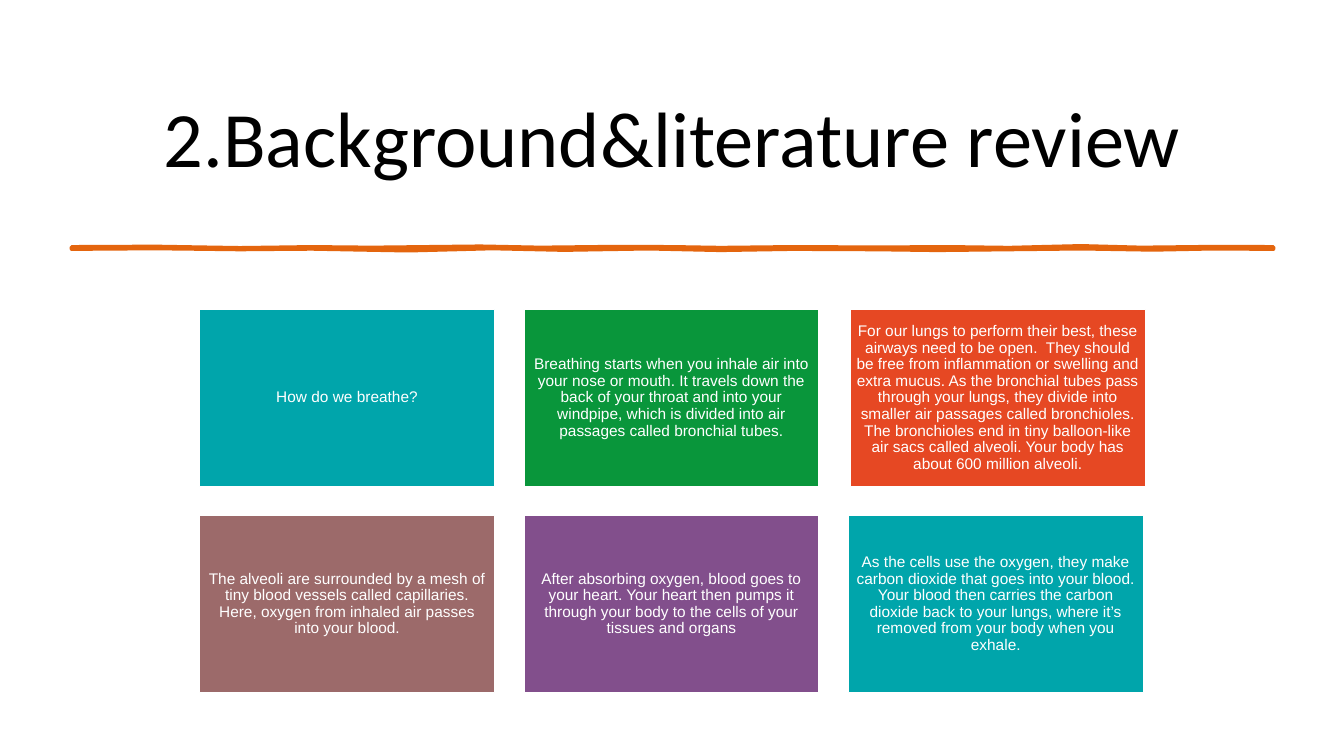
import math

from pptx import Presentation
from pptx import util as u
from pptx.dml import color
from pptx.enum import shapes, text

WIDTH, HEIGHT = 13.33, 7.5
TILES = [
    ("00A5AB", 0, "How do we breathe?"),
    ("09963B", 0, "Breathing starts when you inhale air into your nose or mouth. It travels down "
     "the back of your throat and into your windpipe, which is divided into air passages called "
     "bronchial tubes."),
    ("E64823", 0.02, "For our lungs to perform their best, these airways need to be open.  They "
     "should be free from inflammation or swelling and extra mucus. As the bronchial tubes pass "
     "through your lungs, they divide into smaller air passages called bronchioles. The "
     "bronchioles end in tiny balloon-like air sacs called alveoli. Your body has about 600 "
     "million alveoli."),
    ("9C6A6A", 0, "The alveoli are surrounded by a mesh of tiny blood vessels called capillaries. "
     "Here, oxygen from inhaled air passes into your blood."),
    ("824F8C", 0, "After absorbing oxygen, blood goes to your heart. Your heart then pumps it "
     "through your body to the cells of your tissues and organs"),
    ("00A5AB", 0, "As the cells use the oxygen, they make carbon dioxide that goes into your "
     "blood. Your blood then carries the carbon dioxide back to your lungs, where it’s removed "
     "from your body when you exhale."),
]
UPPER_EDGE = [(0, 0), (0.07, -0.2), (0.14, 0.5), (0.2, 0), (0.25, 0.3), (0.34, -0.3),
              (0.39, 0.3), (0.45, -0.1), (0.5, 0), (0.54, 0.4), (0.6, 0), (0.67, 0.2),
              (0.73, 0), (0.78, 0.4), (0.84, -0.5), (0.89, 0.3), (0.95, -0.1), (1, 0)]
LOWER_EDGE = [(0, 1), (0.07, 0.7), (0.14, 1.2), (0.2, 0.9), (0.28, 1.8), (0.35, 0.7),
              (0.41, 1.5), (0.48, 0.8), (0.54, 1.6), (0.6, 1), (0.67, 1.2), (0.72, 1.6),
              (0.78, 1.2), (0.84, 0.8), (0.9, 1.4), (0.95, 0.8), (1, 1)]


def rgb(value):
    """Turn a hex string into a colour."""
    return color.RGBColor.from_string(value)


def paint(sp, fill, line=None, weight=1):
    """Set fill and outline of a shape and remove its shadow."""
    sp.shadow.inherit = False
    sp.fill.solid()
    sp.fill.fore_color.rgb = rgb(fill)
    if line is None:
        sp.line.fill.background()
    else:
        sp.line.color.rgb = rgb(line)
        sp.line.width = u.Pt(weight)


def write(sp, words, size, font, ink, inset=0.05):
    """Write one centred paragraph into a shape."""
    tf = sp.text_frame
    tf.word_wrap = True
    tf.vertical_anchor = text.MSO_ANCHOR.MIDDLE
    tf.margin_left = tf.margin_right = u.Inches(inset)
    tf.margin_top = tf.margin_bottom = u.Inches(0.05)
    p = tf.paragraphs[0]
    p.alignment = text.PP_ALIGN.CENTER
    p.line_spacing = 0.9
    r = p.add_run()
    r.text = words
    r.font.size = u.Pt(size)
    r.font.name = font
    r.font.color.rgb = rgb(ink)


def rectangle(s, box, fill, **outline):
    """Add a painted rectangle that fills its box."""
    sp = s.shapes.add_shape(shapes.MSO_SHAPE.RECTANGLE, *map(u.Inches, box))
    paint(sp, fill, **outline)
    return sp


def title(s, box, words):
    """Place the slide title in its box."""
    sp = s.shapes.add_textbox(*map(u.Inches, box))
    write(sp, words, size=56, font="Calibri", ink="000000", inset=0.1)


def smooth(nodes, steps=2):
    """Join nodes by cosine waves and return the points."""
    points = [(x0 + (x1 - x0) * i / steps,
               y0 + (y1 - y0) * (1 - math.cos(math.pi * i / steps)) / 2)
              for (x0, y0), (x1, y1) in zip(nodes, nodes[1:]) for i in range(steps)]
    return points + [nodes[-1]]


def brush_rule(s, box, hue):
    """Draw the wavy brush line that fills its box."""
    left, top, width, height = box
    outline = [(u.Inches(left + x * width), u.Inches(top + y * height))
               for x, y in smooth(UPPER_EDGE) + smooth(LOWER_EDGE)[::-1]]
    pen = s.shapes.build_freeform(*outline[0])
    pen.add_line_segments(outline[1:], close=True)
    paint(pen.convert_to_shape(), hue, line=hue, weight=2.75)


def tile_grid(s, box, tiles, columns=3, rows=2, gap=0.29):
    """Lay coloured text tiles out in a grid inside the box."""
    left, top, width, height = box
    w = (width - gap * (columns - 1)) / columns
    h = (height - gap * (rows - 1)) / rows
    for i, (fill, nudge, words) in enumerate(tiles):
        row, column = divmod(i, columns)
        place = left + column * (w + gap) + nudge, top + row * (h + gap), w, h
        sp = rectangle(s, place, fill, line="FFFFFF", weight=1)
        write(sp, words, size=11, font="Arial", ink="FFFFFF")


def main():
    """Build the slide and save it."""
    prs = Presentation()
    prs.slide_width, prs.slide_height = u.Inches(WIDTH), u.Inches(HEIGHT)
    s = prs.slides.add_slide(prs.slide_layouts[6])
    rectangle(s, (0, 0, WIDTH, HEIGHT), "FFFFFF")
    title(s, (0.7, 0.69, 11.94, 1.44), "2.Background&literature review")
    brush_rule(s, (0.71, 2.45, 11.92, 0.02), "E4650E")
    tile_grid(s, (1.98, 3.07, 9.36, 3.8), TILES)
    prs.save("out.pptx")


if __name__ == "__main__":
    main()
